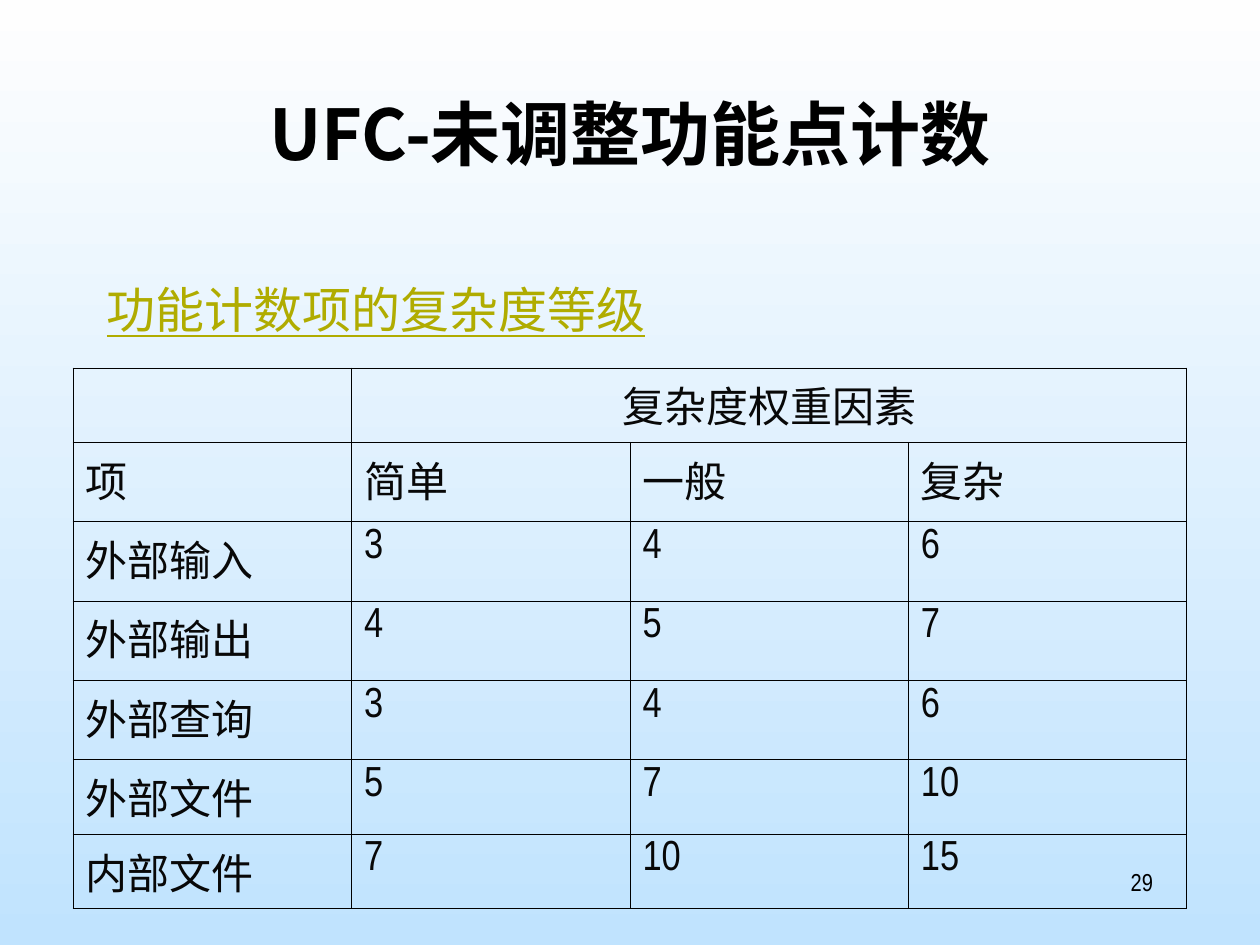
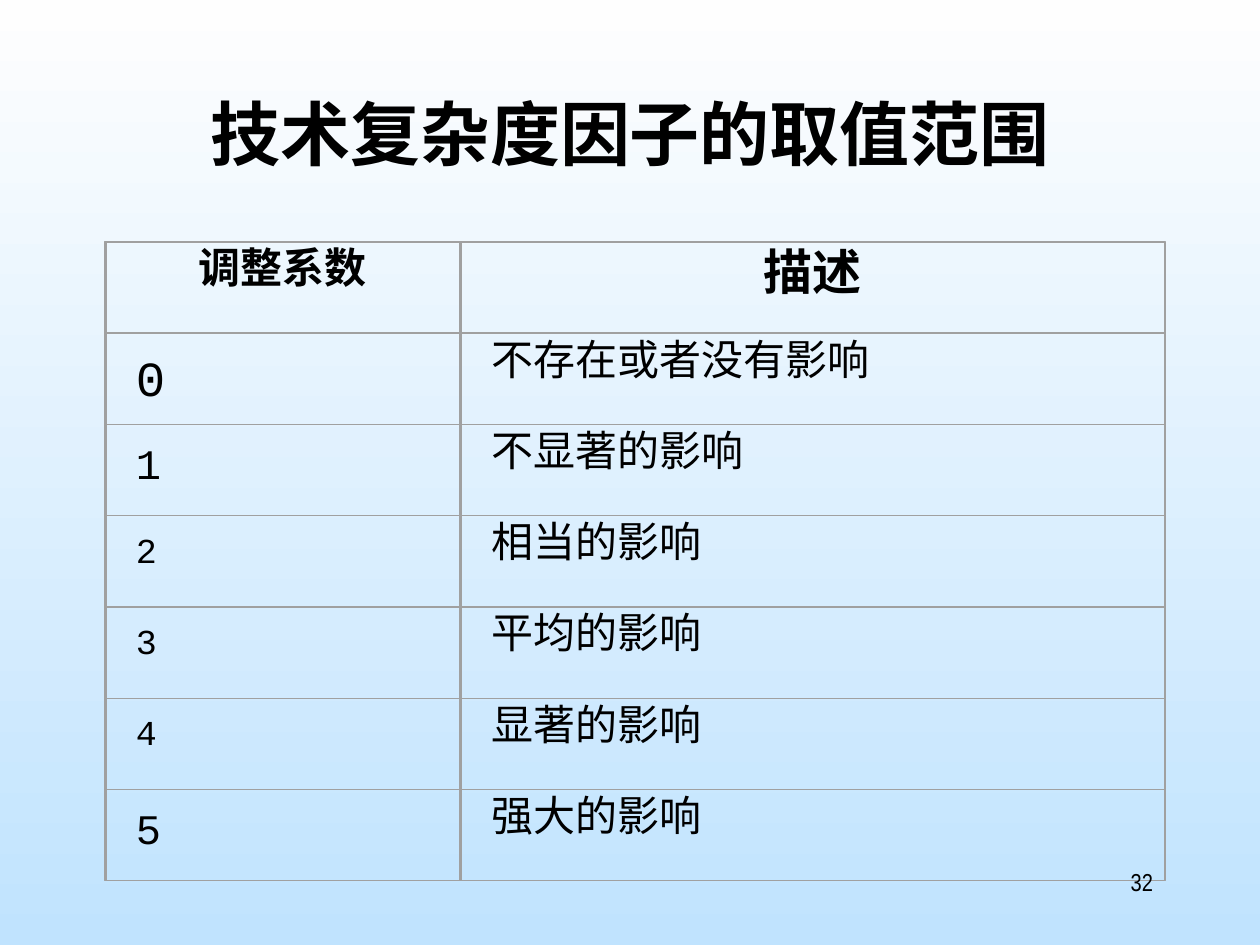
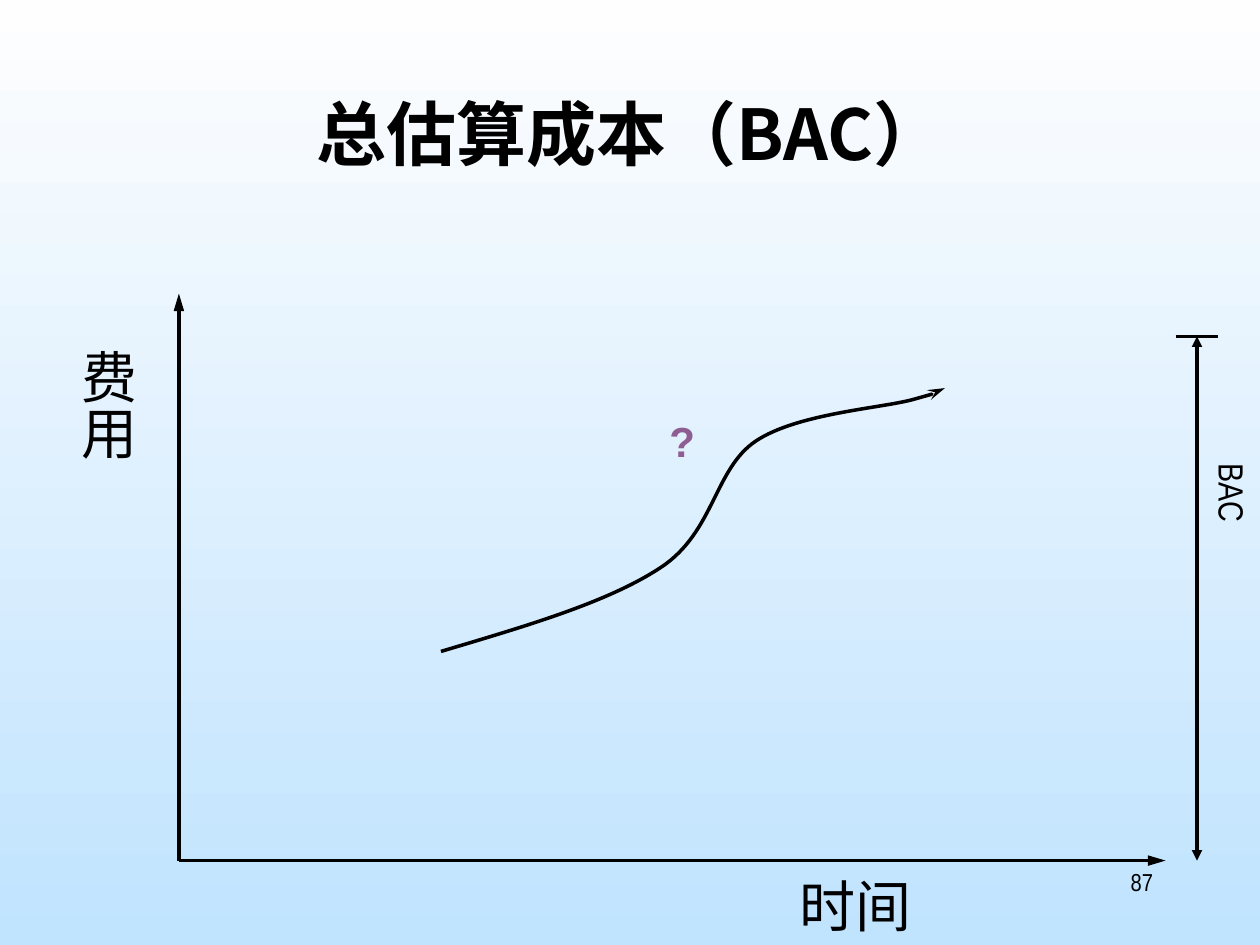
from pptx import Presentation
from pptx.dml.color import RGBColor
from pptx.enum.shapes import MSO_CONNECTOR, MSO_SHAPE
from pptx.enum.text import MSO_ANCHOR, MSO_AUTO_SIZE, PP_ALIGN
from pptx.oxml.ns import qn
from pptx.util import Inches, Pt
from lxml.etree import SubElement

COLORS = {
    "sky_top": "FEFEFE",
    "sky_bottom": "C0E3FE",
    "ink": "000000",
    "cell": "080808",
    "accent": "B0AC00",
    "question": "8E5E92",
    "grid": "A0A0A0",
}
CJK = "Noto Sans CJK SC"
NARROW = "Arial Narrow"
MONO = "Courier New"


def rgb(name):
    return RGBColor.from_string(COLORS[name])


def write(tf, text, size=24, font=CJK, color="ink", bold=False,
          underline=False, align=PP_ALIGN.LEFT):
    p = tf.paragraphs[0]
    p.alignment = align
    r = p.add_run()
    r.text = text
    r.font.size = Pt(size)
    r.font.name = font
    r.font.bold = bold
    r.font.underline = underline
    r.font.color.rgb = rgb(color)
    SubElement(r._r.get_or_add_rPr(), qn("a:ea"), typeface=CJK)


class Deck:
    def __init__(self):
        self.prs = Presentation()
        self.prs.slide_width = Inches(10)
        self.prs.slide_height = Inches(7.5)
        self.s = None

    def slide(self, title):
        self.s = self.prs.slides.add_slide(self.prs.slide_layouts[6])
        fill = self.s.background.fill
        fill.gradient()
        fill.gradient_angle = 270
        for stop, name in zip(fill.gradient_stops, ("sky_top", "sky_bottom")):
            stop.color.rgb = rgb(name)
        self.text(0.75, 0.67, 8.5, 1.25, title, size=40, bold=True,
                  align=PP_ALIGN.CENTER)

    def number(self, n):
        self.text(7.17, 6.83, 2.08, 0.5, str(n), size=14, font=NARROW,
                  align=PP_ALIGN.RIGHT)

    def text(self, x, y, w, h, text, vertical=False, wrap=True, top=0.05, **fmt):
        tb = self.s.shapes.add_textbox(Inches(x), Inches(y), Inches(w), Inches(h))
        tf = tb.text_frame
        tf.word_wrap = wrap
        tf.vertical_anchor = MSO_ANCHOR.TOP
        tf.margin_top = Inches(top)
        if vertical:
            tf.auto_size = MSO_AUTO_SIZE.SHAPE_TO_FIT_TEXT
            tf.margin_left = tf.margin_right = Inches(0.05)
            tf.margin_top = tf.margin_bottom = Inches(0.1)
            tf._txBody.bodyPr.set("vert", "eaVert")
        write(tf, text, **fmt)

    def table(self, x, y, widths, heights):
        frame = self.s.shapes.add_table(
            len(heights), len(widths), Inches(x), Inches(y),
            Inches(sum(widths)), Inches(sum(heights)))
        table = frame.table
        table.first_row = table.horz_banding = False
        for col, w in zip(table.columns, widths):
            col.width = Inches(w)
        for row, h in zip(table.rows, heights):
            row.height = Inches(h)
        return table

    def borders(self, table, color, width):
        for cell in table.iter_cells():
            tcPr = cell._tc.get_or_add_tcPr()
            for side in "LRTB":
                ln = SubElement(tcPr, qn(f"a:ln{side}"), w=str(Pt(width)))
                solid = SubElement(ln, qn("a:solidFill"))
                SubElement(solid, qn("a:srgbClr"), val=COLORS[color])
            cell.fill.background()

    def stroke(self, sp, width=2, color="ink", head=None, tail=None, length="med"):
        sp.line.color.rgb = rgb(color)
        sp.line.width = Pt(width)
        ln = sp.line._get_or_add_ln()
        for tag, kind in (("a:headEnd", head), ("a:tailEnd", tail)):
            if kind:
                SubElement(ln, qn(tag), type=kind, w="med", len=length)

    def line(self, x1, y1, x2, y2, **style):
        sp = self.s.shapes.add_connector(
            MSO_CONNECTOR.STRAIGHT, Inches(x1), Inches(y1), Inches(x2), Inches(y2))
        self.stroke(sp, **style)
        SubElement(sp._element.spPr, qn("a:effectLst"))

    def frame(self, x, y, w, h, **style):
        sp = self.s.shapes.add_shape(
            MSO_SHAPE.RECTANGLE, Inches(x), Inches(y), Inches(w), Inches(h))
        sp.fill.background()
        self.stroke(sp, **style)
        sp.shadow.inherit = False

    def framed_text(self, x, y, w, h, text, **fmt):
        gap = 0.14
        self.text(x + gap, y, w - 2 * gap, h, text, **fmt)
        self.frame(x, y, w, h, width=0, color="grid")

    def curve(self, points, **style):
        start, *rest = [(Inches(x), Inches(y)) for x, y in points]
        fb = self.s.shapes.build_freeform(*start)
        fb.add_line_segments(rest, close=False)
        sp = fb.convert_to_shape()
        segments = list(sp._element.iter(qn("a:lnTo")))
        outline = segments[0].getparent()
        for i in range(0, len(segments), 3):
            bezier = SubElement(outline, qn("a:cubicBezTo"))
            for segment in segments[i:i + 3]:
                bezier.append(segment[0])
                outline.remove(segment)
        sp.fill.background()
        self.stroke(sp, **style)
        sp.shadow.inherit = False


def weights_slide(deck):
    deck.slide("UFC-未调整功能点计数")
    deck.text(0.75, 2.17, 8.5, 0.58, "功能计数项的复杂度等级", size=28,
              color="accent", underline=True)
    rows = [
        ("", "复杂度权重因素", "", ""),
        ("项", "简单", "一般", "复杂"),
        ("外部输入", "3", "4", "6"),
        ("外部输出", "4", "5", "7"),
        ("外部查询", "3", "4", "6"),
        ("外部文件", "5", "7", "10"),
        ("内部文件", "7", "10", "15"),
    ]
    heights = [0.59] + [0.63] * 4 + [0.59] * 2
    table = deck.table(0.58, 2.92, [2.21] * 4, heights)
    table.cell(0, 1).merge(table.cell(0, 3))
    for i, row in enumerate(rows):
        for j, text in enumerate(row):
            if text:
                write(table.cell(i, j).text_frame, text, font=NARROW, color="cell",
                      align=PP_ALIGN.LEFT if i else PP_ALIGN.CENTER)
    deck.borders(table, "ink", 0.45)
    deck.number(29)


def factors_slide(deck):
    deck.slide("技术复杂度因子的取值范围")
    levels = [
        (28, "不存在或者没有影响"),
        (24, "不显著的影响"),
        (20, "相当的影响"),
        (20, "平均的影响"),
        (20, "显著的影响"),
        (24, "强大的影响"),
    ]
    top, height = 1.92, 5.07
    row_h = height / (len(levels) + 1)
    factor_x, factor_w = 0.84, 2.81
    effect_x, effect_w = 3.66, 5.58
    heading = {"top": 0, "bold": True, "align": PP_ALIGN.CENTER}
    deck.framed_text(factor_x, top, factor_w, row_h, "调整系数", **heading)
    deck.framed_text(effect_x, top, effect_w, row_h, "描述", size=28, **heading)
    for level, (size, effect) in enumerate(levels):
        y = top + (level + 1) * row_h
        deck.framed_text(factor_x, y, factor_w, row_h, str(level), size=size,
                         font=MONO, top=0.05 + size * 0.0024,
                         align=PP_ALIGN.JUSTIFY)
        deck.framed_text(effect_x, y, effect_w, row_h, effect, top=0,
                         align=PP_ALIGN.JUSTIFY)
    deck.frame(0.83, top, 8.42, height, width=0.75, color="grid")
    deck.number(32)


def cost_slide(deck):
    deck.slide("总估算成本（BAC）")
    left, base, bac_x, bac_top = 1.42, 6.83, 9.5, 2.67
    deck.line(left, base, 9.25, base, tail="triangle", length="lg")
    deck.line(left, base, left, 2.33, tail="triangle", length="lg")
    deck.text(0.44, 2.67, 0.73, 2.08, "费用", vertical=True, size=32,
              font=NARROW, align=PP_ALIGN.CENTER)
    deck.line(bac_x - 0.17, bac_top, bac_x + 0.17, bac_top)
    deck.line(bac_x, bac_top, bac_x, base, head="triangle", tail="triangle")
    deck.text(9.47, 3.58, 0.53, 1.33, "BAC", vertical=True, size=20,
              font=NARROW, align=PP_ALIGN.CENTER)
    deck.text(6.25, 6.87, 1.83, 0.64, "时间", size=32, font=NARROW)
    deck.text(4.83, 3.25, 1.17, 1.75, "?", wrap=False, font="Arial",
              color="question", bold=True, align=PP_ALIGN.CENTER)
    deck.curve([
        (3.5, 5.17),
        (4.17, 4.97), (4.83, 4.78), (5.25, 4.5),
        (5.67, 4.22), (5.67, 3.72), (6, 3.5),
        (6.33, 3.28), (7, 3.24), (7.25, 3.17),
        (7.5, 3.1), (7.5, 3.09), (7.5, 3.08),
    ], tail="stealth", length="lg")
    deck.number(87)


def main():
    deck = Deck()
    weights_slide(deck)
    factors_slide(deck)
    cost_slide(deck)
    deck.prs.save("out.pptx")


if __name__ == "__main__":
    main()
